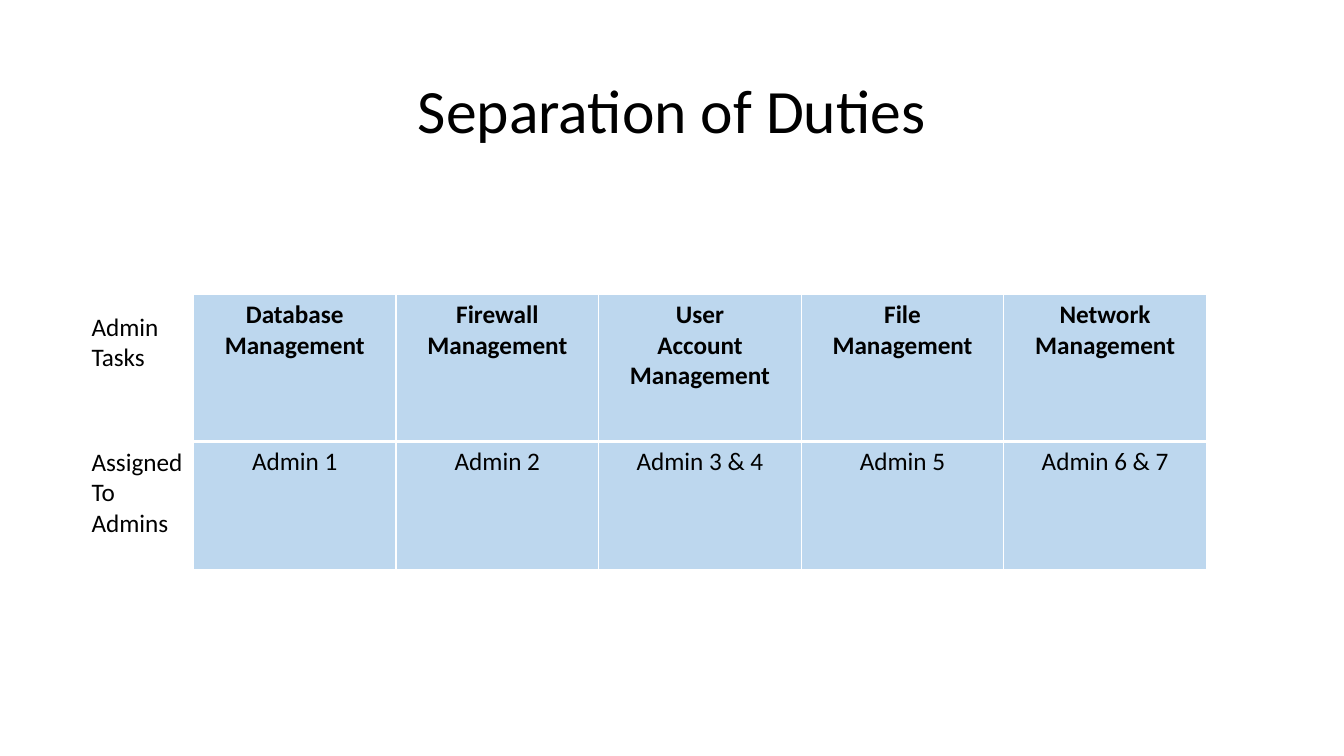
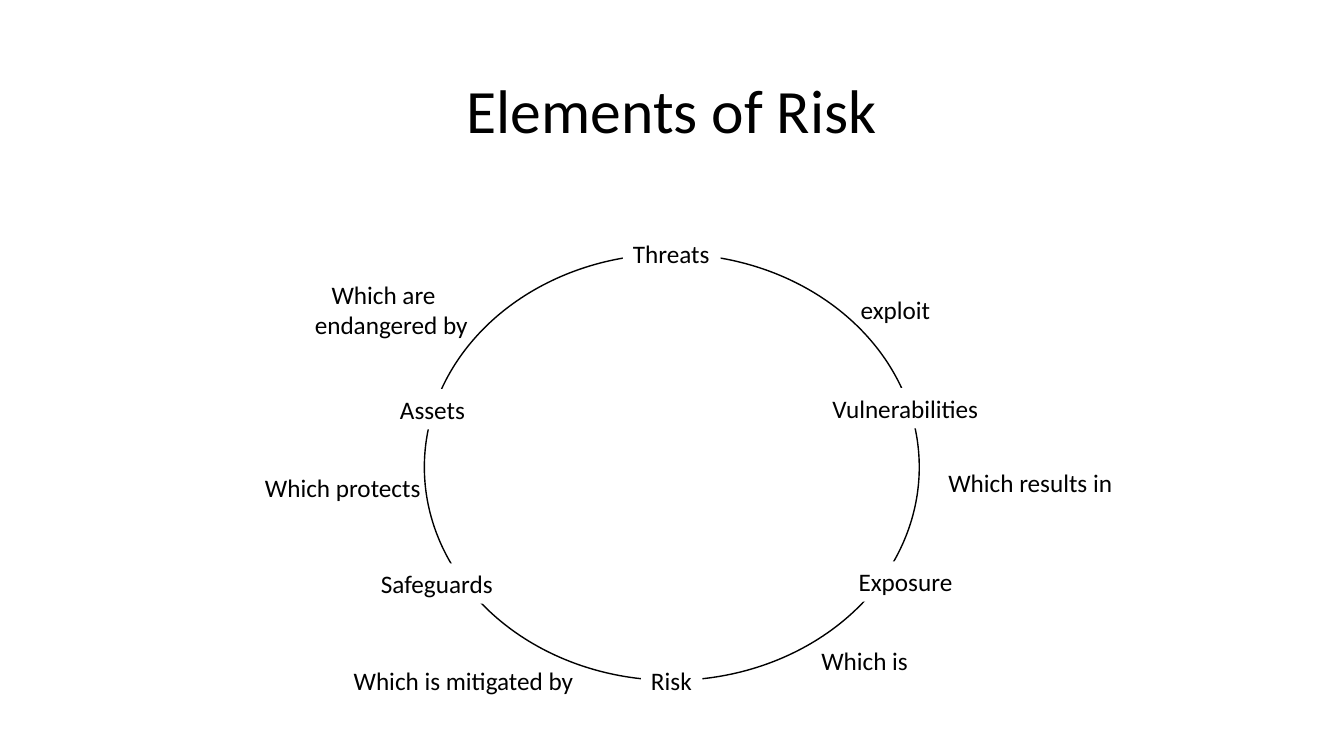
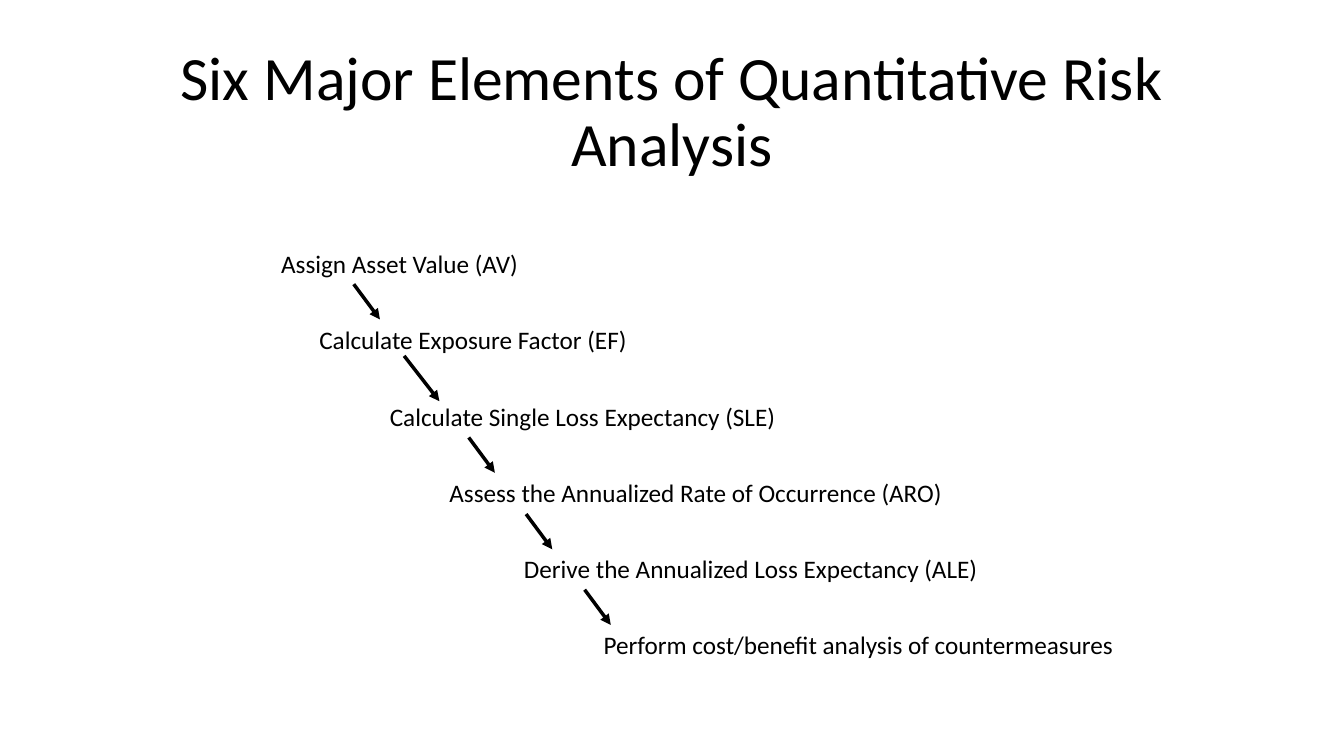
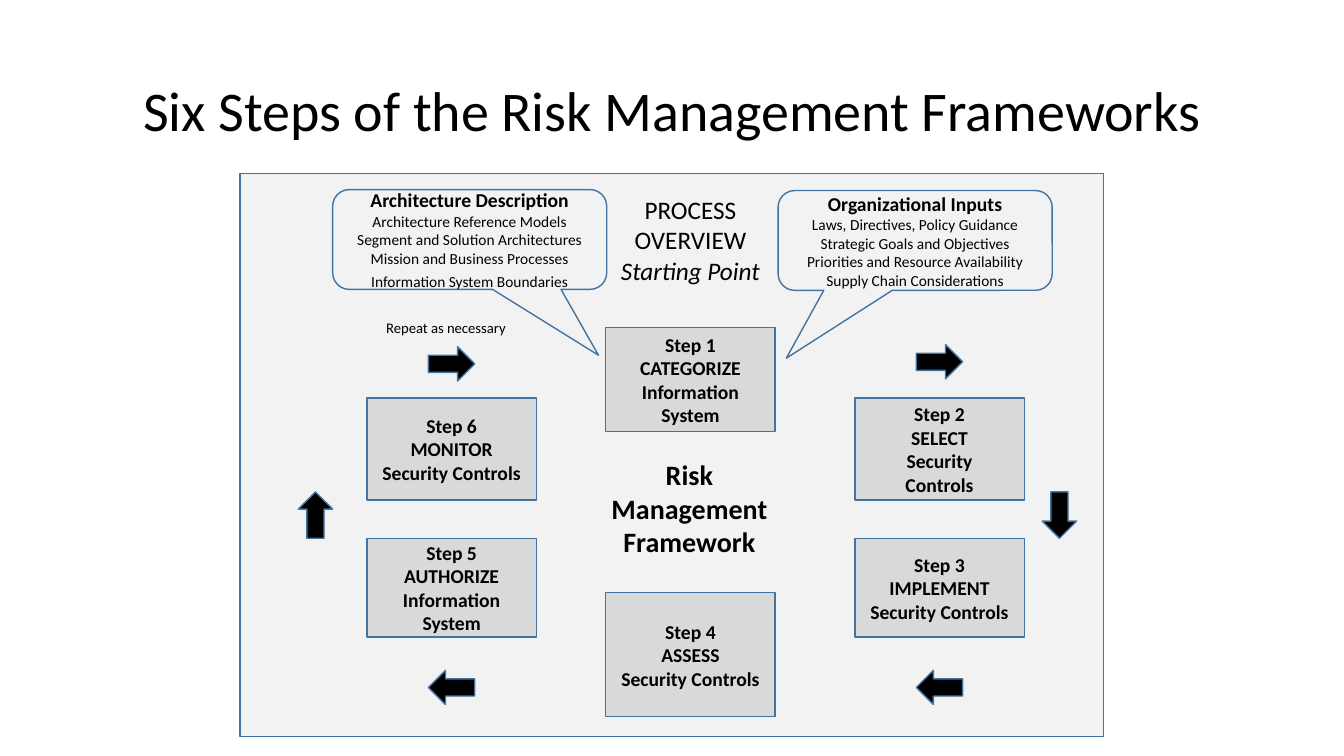
from dataclasses import dataclass

from lxml import etree
from pptx import Presentation
from pptx.dml.color import RGBColor
from pptx.enum.shapes import MSO_CONNECTOR, MSO_SHAPE
from pptx.enum.text import MSO_ANCHOR, MSO_AUTO_SIZE, PP_ALIGN
from pptx.oxml.ns import qn
from pptx.util import Pt


# Theme and text styles
@dataclass(frozen=True)
class Theme:
    font: str = "Calibri"
    ink: str = "000000"
    paper: str = "FFFFFF"
    cell: str = "BDD7EE"
    panel: str = "F2F2F2"
    step: str = "D9D9D9"
    outline: str = "43739E"
    title: float = 44
    long_title: float = 40
    hub: float = 20
    body: float = 18
    box: float = 14
    detail: float = 11
    note: float = 10.5


THEME = Theme()


@dataclass(frozen=True)
class Line:
    text: str
    size: float = THEME.body
    bold: bool = False
    italic: bool = False
    before: float = 0
    indent: float = 0


def lines(text, size=THEME.body, bold=False):
    return [Line(part, size, bold) for part in text.split("\n")]


# Element helpers
def color(value):
    return RGBColor.from_string(value)


def write(frame, content, align=PP_ALIGN.LEFT):
    for i, line in enumerate(content):
        paragraph = frame.paragraphs[0] if i == 0 else frame.add_paragraph()
        paragraph.alignment = align
        if line.before:
            paragraph.space_before = Pt(line.before)
        if line.indent:
            paragraph._p.get_or_add_pPr().set("marL", str(Pt(line.indent)))
        run = paragraph.add_run()
        run.text = line.text
        font = run.font
        font.name, font.size = THEME.font, Pt(line.size)
        font.bold, font.italic = line.bold, line.italic
        font.color.rgb = color(THEME.ink)


def add_title(slide, text, size=THEME.title):
    box = slide.shapes.add_textbox(Pt(66), Pt(28.8), Pt(828), Pt(104.4))
    frame = box.text_frame
    frame.word_wrap = True
    frame.vertical_anchor = MSO_ANCHOR.MIDDLE
    write(frame, lines(text, size), PP_ALIGN.CENTER)
    frame.paragraphs[0].line_spacing = 0.9


def add_label(slide, left, top, width, height, content, align=PP_ALIGN.LEFT, fill=None):
    box = slide.shapes.add_textbox(Pt(left), Pt(top), Pt(width), Pt(height))
    if fill:
        box.fill.solid()
        box.fill.fore_color.rgb = color(fill)
    frame = box.text_frame
    frame.word_wrap = False
    frame.auto_size = MSO_AUTO_SIZE.SHAPE_TO_FIT_TEXT
    write(frame, content, align)


def add_preset(slide, kind, left, top, width, height, fill=None,
               line=THEME.outline, content=()):
    shape = slide.shapes.add_shape(kind, Pt(left), Pt(top), Pt(width), Pt(height))
    shape.shadow.inherit = False
    if fill:
        shape.fill.solid()
        shape.fill.fore_color.rgb = color(fill)
    else:
        shape.fill.background()
    shape.line.color.rgb = color(line)
    shape.line.width = Pt(1)
    shape.text_frame.word_wrap = True
    shape.text_frame.vertical_anchor = MSO_ANCHOR.MIDDLE
    write(shape.text_frame, content, PP_ALIGN.CENTER)
    return shape


def add_arrow(slide, x, y, dx, dy):
    arrow = slide.shapes.add_connector(
        MSO_CONNECTOR.STRAIGHT, Pt(x), Pt(y), Pt(x + dx), Pt(y + dy))
    arrow.line.color.rgb = color(THEME.ink)
    arrow.line.width = Pt(2.5)
    etree.SubElement(arrow.line._get_or_add_ln(), qn("a:tailEnd"), type="triangle")
    etree.SubElement(arrow._element.spPr, qn("a:effectLst"))


def set_borders(cell, top, bottom):
    properties = cell._tc.get_or_add_tcPr()
    sides = (("lnL", 1), ("lnR", 1), ("lnT", top), ("lnB", bottom))
    for i, (side, width) in enumerate(sides):
        border = etree.Element(qn(f"a:{side}"), w=str(Pt(width)))
        fill = etree.SubElement(border, qn("a:solidFill"))
        etree.SubElement(fill, qn("a:srgbClr"), val=THEME.paper)
        properties.insert(i, border)


def add_grid(slide, left, top, column_width, row_heights, rows):
    columns = len(rows[0])
    table = slide.shapes.add_table(
        len(rows), columns, Pt(left), Pt(top),
        Pt(column_width * columns), Pt(sum(row_heights))).table
    table.first_row = table.horz_banding = False
    for column in table.columns:
        column.width = Pt(column_width)
    for r, texts in enumerate(rows):
        table.rows[r].height = Pt(row_heights[r])
        for c, text in enumerate(texts):
            cell = table.cell(r, c)
            cell.fill.solid()
            cell.fill.fore_color.rgb = color(THEME.cell)
            set_borders(cell, *((1, 3) if r == 0 else (3, 1)))
            write(cell.text_frame, lines(text, bold=r == 0), PP_ALIGN.CENTER)


# Slides
def duties_slide(slide):
    add_title(slide, "Separation of Duties")
    add_grid(slide, 138.2, 210.2, 144.72, (105.1, 91.4), [
        ["Database Management", "Firewall Management", "User\nAccount Management",
         "File\nManagement", "Network\nManagement"],
        ["Admin 1", "Admin 2", "Admin 3 & 4", "Admin 5", "Admin 6 & 7"],
    ])
    add_label(slide, 58.3, 218.9, 62.6, 51, lines("Admin\nTasks"))
    add_label(slide, 58.3, 315.4, 80, 72.7, lines("Assigned\nTo\nAdmins"))


def risk_cycle_slide(slide):
    add_title(slide, "Elements of Risk")
    add_preset(slide, MSO_SHAPE.OVAL, 303.1, 181.4, 353.5, 304.6, line=THEME.ink)
    elements = [
        ("Threats", 445, 167, 69.8),
        ("Vulnerabilities", 587.5, 277.2, 120.2),
        ("Exposure", 606.2, 401, 82.1),
        ("Risk", 457.9, 471.6, 43.9),
        ("Safeguards", 265, 402.5, 95),
        ("Assets", 278.6, 277.9, 61.2),
    ]
    relations = [
        ("exploit", 607.7, 206.6, 64.8),
        ("Which results in", 670.3, 330.5, 133.2),
        ("Which is", 579.6, 457.2, 77),
        ("Which is mitigated by", 245.5, 471.6, 173.5),
        ("Which protects", 182.2, 334.1, 126.7),
    ]
    for labels, fill in ((elements, THEME.paper), (relations, None)):
        for text, left, top, width in labels:
            add_label(slide, left, top, width, 28.8, lines(text), fill=fill)
    add_label(slide, 213.8, 195.8, 129.6, 51,
              [Line("Which are", indent=16), Line("endangered by", indent=4)])


def quantitative_slide(slide):
    add_title(slide, "Six Major Elements of Quantitative Risk Analysis")
    first_top, pitch = 174, 54.4
    stages = [
        ("Assign Asset Value (AV)", 193.7, 185.8),
        ("Calculate Exposure Factor (EF)", 221, 236.9),
        ("Calculate Single Loss Expectancy (SLE)", 271.4, 293),
        ("Assess the Annualized Rate of Occurrence (ARO)", 313.9, 370.1),
        ("Derive the Annualized Loss Expectancy (ALE)", 367.2, 342.7),
        ("Perform cost/benefit analysis of countermeasures", 424.1, 382.3),
    ]
    for i, (text, left, width) in enumerate(stages):
        add_label(slide, left, first_top + i * pitch, width, 28.8, lines(text))
    short, long = (18.7, 25.2), (25.2, 32.4)
    for x, y, reach in ((252.7, 203, short), (288.7, 254.2, long), (334.8, 312.5, short),
                        (375.8, 367.2, short), (417.6, 421.2, short)):
        add_arrow(slide, x, y, *reach)


def framework_slide(slide):
    add_title(slide, "Six Steps of the Risk Management Frameworks", THEME.long_title)
    add_preset(slide, MSO_SHAPE.RECTANGLE, 171.4, 123.8, 617, 402.5, THEME.panel)

    # Step boxes
    left, middle, right = 262.1, 432.7, 610.6
    steps = [
        (middle, 234, 74.2, "CATEGORIZE\nInformation\nSystem"),
        (right, 284.4, 72.7, "SELECT\nSecurity\nControls"),
        (right, 384.5, 70.6, "IMPLEMENT\nSecurity Controls"),
        (middle, 423.4, 88.6, "ASSESS\nSecurity Controls"),
        (left, 384.5, 70.6, "AUTHORIZE\nInformation System"),
        (left, 284.4, 72.7, "MONITOR\nSecurity Controls"),
    ]
    for number, (x, y, height, text) in enumerate(steps, 1):
        add_preset(slide, MSO_SHAPE.RECTANGLE, x, y, 121, height, THEME.step,
                   content=lines(f"Step {number}\n{text}", THEME.box, True))

    # Flow arrows
    for x, y, rotation in ((654.5, 246.2, 0), (740.2, 355.7, 90), (654.5, 478.8, 180),
                           (306, 478.8, 180), (208.8, 355.7, 270), (306, 247.7, 0)):
        arrow = add_preset(slide, MSO_SHAPE.RIGHT_ARROW, x, y, 33.1, 24.5, THEME.ink)
        arrow.rotation = rotation

    # Centred labels
    center = PP_ALIGN.CENTER
    add_label(slide, 435.6, 135.4, 115.2, 72.7,
              lines("PROCESS\nOVERVIEW") + [Line("Starting Point", italic=True)], center)
    add_label(slide, 267.8, 223.9, 101.5, 20.2,
              lines("Repeat as necessary", THEME.note), center)
    add_label(slide, 429.1, 323.3, 126.7, 79.9,
              lines("Risk\nManagement\nFramework", THEME.hub, True), center)

    # Callouts
    architecture = lines("Architecture Reference Models\nSegment and Solution Architectures\n"
                         "Mission and Business Processes", THEME.detail)
    architecture.append(Line("Information System Boundaries", THEME.detail, before=3.6))
    inputs = lines("Laws, Directives, Policy Guidance\nStrategic Goals and Objectives\n"
                   "Priorities and Resource Availability\nSupply Chain Considerations",
                   THEME.detail)
    for x, y, heading, details, pointer in (
            (237.6, 135.4, "Architecture Description", architecture, (0.47, 1.16)),
            (555.8, 136.1, "Organizational Inputs", inputs, (-0.47, 1.18))):
        callout = add_preset(slide, MSO_SHAPE.ROUNDED_RECTANGULAR_CALLOUT, x, y, 195.8, 71.3,
                             content=lines(heading, THEME.box, True) + details)
        callout.adjustments[0], callout.adjustments[1] = pointer


def main():
    deck = Presentation()
    deck.slide_width, deck.slide_height = Pt(960), Pt(540)
    blank = deck.slide_layouts[6]
    for build in (duties_slide, risk_cycle_slide, quantitative_slide, framework_slide):
        build(deck.slides.add_slide(blank))
    deck.save("out.pptx")


main()
